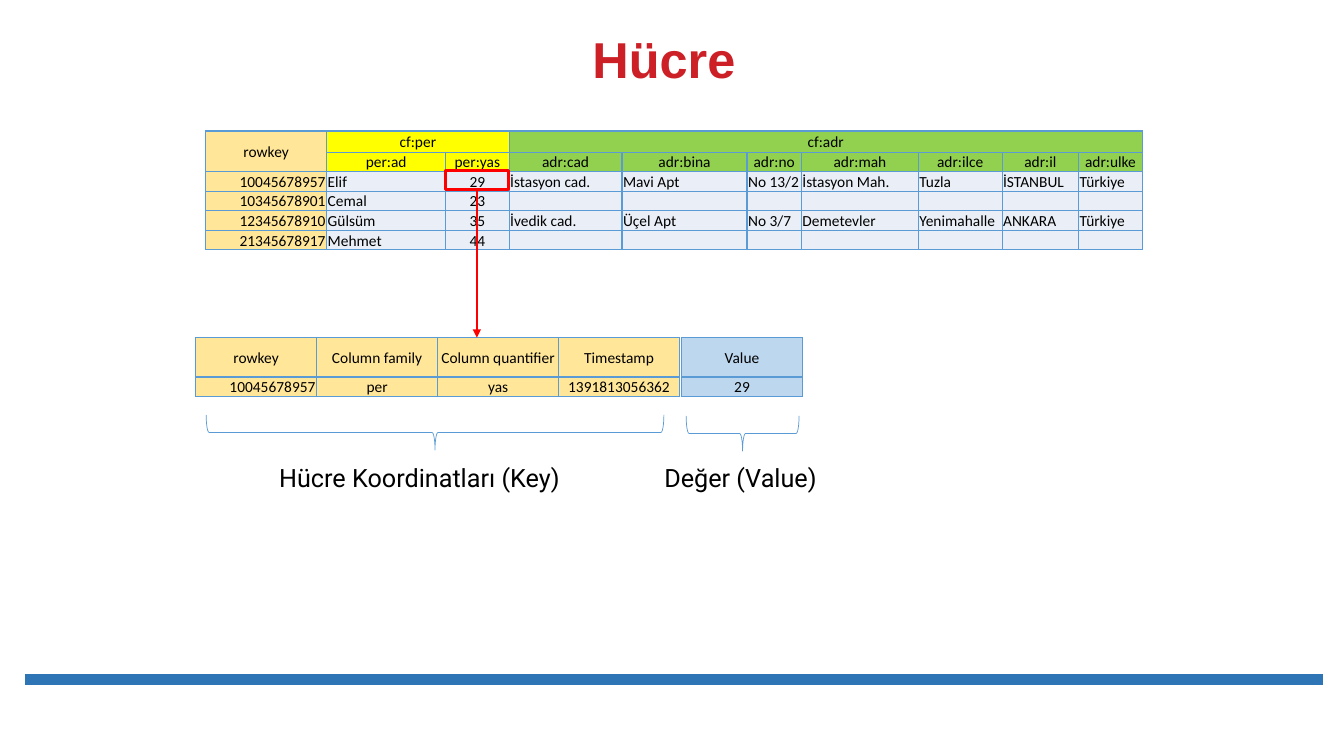
from lxml import etree
from pptx import Presentation
from pptx.dml.color import RGBColor
from pptx.enum.shapes import MSO_CONNECTOR, MSO_SHAPE
from pptx.enum.text import MSO_ANCHOR, MSO_AUTO_SIZE, PP_ALIGN
from pptx.oxml.ns import qn
from pptx.util import Pt

SCALE = 9144
STRAIGHT = MSO_CONNECTOR.STRAIGHT
RECTANGLE, LEFT_BRACE = MSO_SHAPE.RECTANGLE, MSO_SHAPE.LEFT_BRACE
TOP, MIDDLE, BOTTOM = MSO_ANCHOR.TOP, MSO_ANCHOR.MIDDLE, MSO_ANCHOR.BOTTOM
LEFT, CENTER, RIGHT = PP_ALIGN.LEFT, PP_ALIGN.CENTER, PP_ALIGN.RIGHT
FIT_SHAPE = MSO_AUTO_SIZE.SHAPE_TO_FIT_TEXT

BLACK = RGBColor(0x00, 0x00, 0x00)
CRIMSON = RGBColor(0xCD, 0x1F, 0x26)
RED = RGBColor(0xFF, 0x00, 0x00)
BAR_BLUE = RGBColor(0x2E, 0x75, 0xB6)
BORDER_BLUE = RGBColor(0x5B, 0x9B, 0xD5)
VALUE_BLUE = RGBColor(0xBD, 0xD7, 0xEE)
PALE = RGBColor(0xEA, 0xEF, 0xF7)
GOLD = RGBColor(0xFF, 0xE6, 0x99)
YELLOW = RGBColor(0xFF, 0xFF, 0x00)
GREEN = RGBColor(0x92, 0xD0, 0x50)

COLUMN_WIDTHS = [120, 118, 63, 112, 124, 54, 116, 83, 76, 63]
ROW_HEIGHTS = [21] + [18] * 5
FAMILY_ROWS = [
    ["rowkey", "cf:per", "", "cf:adr"] + [""] * 6,
    ["", "per:ad", "per:yas", "adr:cad", "adr:bina", "adr:no", "adr:mah",
     "adr:ilce", "adr:il", "adr:ulke"],
    ["10045678957", "Elif", "29", "İstasyon cad.", "Mavi Apt", "No 13/2",
     "İstasyon Mah.", "Tuzla", "İSTANBUL", "Türkiye"],
    ["10345678901", "Cemal", "23"] + [""] * 7,
    ["12345678910", "Gülsüm", "35", "İvedik cad.", "Üçel Apt", "No 3/7",
     "Demetevler", "Yenimahalle", "ANKARA", "Türkiye"],
    ["21345678917", "Mehmet", "44"] + [""] * 7,
]
HEADER_FILLS = [GOLD] + [YELLOW] * 2 + [GREEN] * 7
BODY_FILLS = [GOLD] + [PALE] * 9
BODY_ALIGNS = [RIGHT, LEFT, CENTER] + [LEFT] * 7
CELL_PARTS = [
    (194, "rowkey", "10045678957", GOLD, RIGHT),
    (314, "Column family", "per", GOLD, CENTER),
    (434, "Column quantifier", "yas", GOLD, CENTER),
    (554, "Timestamp", "1391813056362", GOLD, CENTER),
    (676, "Value", "29", VALUE_BLUE, CENTER),
]
BRACES = [(414, 202, 454), (719, 374, 112)]
CAPTIONS = [(267, 305, "Hücre Koordinatları (Key)"), (649, 175, "Değer (Value)")]


def px(length):
    return length * SCALE


class Painter:
    table_font, table_size = "Calibri", 11

    def __init__(self, slide):
        self.shapes = slide.shapes

    def format_span(self, span, font, size, color, bold=False):
        span.font.name = font
        span.font.size = Pt(size)
        span.font.color.rgb = color
        span.font.bold = bold

    def text(self, left, top, width, height, words, font, size, color,
             bold=False, align=LEFT, anchor=TOP, wrap=False, spacing=1.0):
        box = self.shapes.add_textbox(px(left), px(top), px(width), px(height))
        frame = box.text_frame
        frame.text = words
        frame.word_wrap = wrap
        frame.vertical_anchor = anchor
        if not wrap:
            frame.auto_size = FIT_SHAPE
        para = frame.paragraphs[0]
        para.alignment = align
        para.line_spacing = spacing
        self.format_span(para.runs[0], font, size, color, bold)

    def line(self, start, end, color, weight, arrow=False):
        line = self.shapes.add_connector(STRAIGHT, *map(px, start + end))
        line.line.color.rgb = color
        line.line.width = Pt(weight)
        properties = line._element.spPr
        etree.SubElement(properties, qn("a:effectLst"))
        if arrow:
            etree.SubElement(properties.find(qn("a:ln")), qn("a:tailEnd"), type="triangle")
        return line

    def outline(self, kind, left, top, width, height, color, weight, rotation=0):
        shape = self.shapes.add_shape(kind, px(left), px(top), px(width), px(height))
        shape.shadow.inherit = False
        shape.fill.background()
        shape.line.color.rgb = color
        shape.line.width = Pt(weight)
        shape.rotation = rotation
        return shape

    def table(self, left, top, widths, heights, rows, fills, aligns):
        frame = self.shapes.add_table(len(rows), len(widths), px(left), px(top),
                                      px(sum(widths)), px(sum(heights)))
        table = frame.table
        table.first_row = table.horz_banding = False
        for column, width in zip(table.columns, widths):
            column.width = px(width)
        for row, height in zip(table.rows, heights):
            row.height = px(height)
        for r, row in enumerate(rows):
            for c, words in enumerate(row):
                anchor = MIDDLE if r == c == 0 else BOTTOM
                self.cell(table.cell(r, c), words, fills[r][c], aligns[r][c], anchor)
        return table

    def cell(self, cell, words, fill, align, anchor):
        cell.margin_left = cell.margin_right = cell.margin_top = px(1)
        cell.margin_bottom = 0
        cell.vertical_anchor = anchor
        cell.fill.solid()
        cell.fill.fore_color.rgb = fill
        para = cell.text_frame.paragraphs[0]
        para.text = words
        para.alignment = align
        for span in para.runs:
            self.format_span(span, self.table_font, self.table_size, BLACK)
        if not words:
            etree.SubElement(para._p, qn("a:endParaRPr"), sz=str(self.table_size * 100))
        properties = cell._tc.get_or_add_tcPr()
        for position, side in enumerate(("lnL", "lnR", "lnT", "lnB")):
            border = etree.Element(qn("a:" + side), w=str(Pt(1)))
            paint = etree.SubElement(border, qn("a:solidFill"))
            etree.SubElement(paint, qn("a:srgbClr"), val=str(BORDER_BLUE))
            properties.insert(position, border)


def main():
    deck = Presentation()
    deck.slide_width, deck.slide_height = px(1333), px(750)
    page = Painter(deck.slides.add_slide(deck.slide_layouts[6]))

    page.line((25, 674), (1312, 674), BAR_BLUE, 8)
    page.text(403, 36, 511, 58, "Hücre", "Arial", 36, CRIMSON, bold=True,
              align=CENTER, anchor=BOTTOM, wrap=True, spacing=0.9)

    families = page.table(204, 130, COLUMN_WIDTHS, ROW_HEIGHTS, FAMILY_ROWS,
                          [HEADER_FILLS] * 2 + [BODY_FILLS] * 4,
                          [[CENTER] * 10] * 2 + [BODY_ALIGNS] * 4)
    for first, last in (((0, 0), (1, 0)), ((0, 1), (0, 2)), ((0, 3), (0, 9))):
        families.cell(*first).merge(families.cell(*last))
    highlight = page.outline(RECTANGLE, 442, 169, 62, 19, RED, 2.25)

    for left, heading, value, fill, align in CELL_PARTS:
        page.table(left, 335, [120], [39, 18], [[heading], [value]],
                   [[fill]] * 2, [[CENTER], [align]])
    for left, top, length in BRACES:
        page.outline(LEFT_BRACE, left, top, 35, length, BORDER_BLUE, 0.5, rotation=270)
    for left, width, words in CAPTIONS:
        page.text(left, 454, width, 40, words, "Roboto", 18, BLACK)

    arrow = page.line((473, 188), (473, 335), RED, 1.5, arrow=True)
    arrow.begin_connect(highlight, 2)
    deck.save("out.pptx")


if __name__ == "__main__":
    main()
